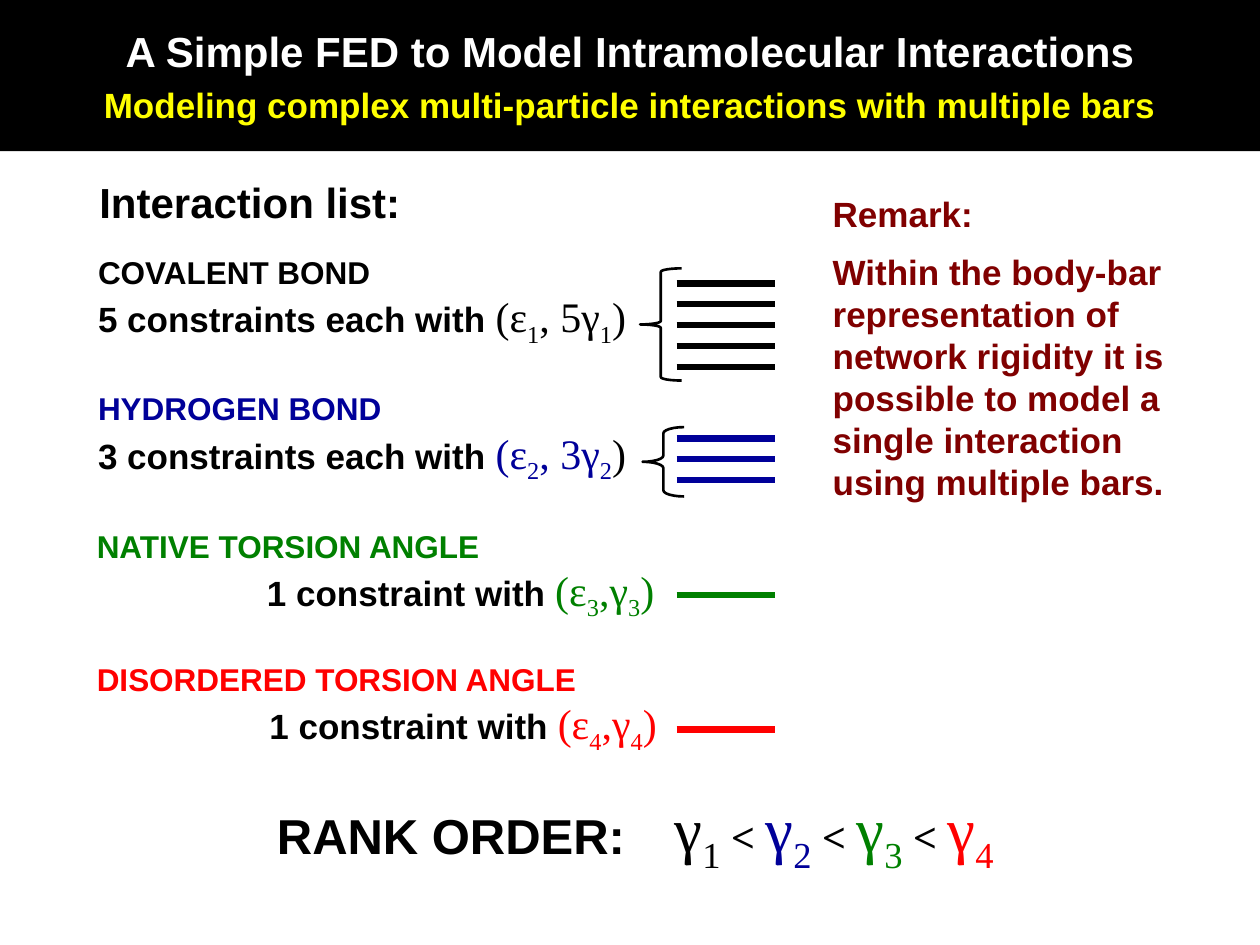
from pptx import Presentation
from pptx.dml.color import RGBColor
from pptx.enum.shapes import MSO_CONNECTOR as Connector, MSO_SHAPE as Shape
from pptx.enum.text import MSO_ANCHOR as Anchor, PP_ALIGN as Align
from pptx.oxml.ns import qn
from pptx.util import Inches, Pt
from lxml import etree

COLORS = {
    "black": "000000", "white": "FFFFFF", "yellow": "FFFF00", "blue": "000099",
    "green": "008000", "red": "FF0000", "maroon": "800000",
}
SANS, SERIF = "Arial", "Times New Roman"


def color(name):
    return RGBColor.from_string(COLORS[name])


def bold(text, size, tint="black"):
    return dict(text=text, size=size, tint=tint)


def math(text, size=24, tint="black", sub=False, strong=False):
    return dict(text=text, size=size, tint=tint, face=SERIF, strong=strong, sub=sub)


class SlideBuilder:
    def __init__(self, slide):
        self.slide = slide

    def add_spans(self, para, spans):
        for item in spans:
            span = para.add_run()
            span.text = item["text"]
            font = span.font
            font.name = item.get("face", SANS)
            font.size = Pt(item["size"])
            font.bold = item.get("strong", True)
            font.color.rgb = color(item["tint"])
            if item.get("sub"):
                span._r.get_or_add_rPr().set("baseline", "-25000")

    def fill_text(self, frame, lines, align=Align.LEFT):
        """Write one paragraph for each list of spans."""
        frame.word_wrap = True
        for index, spans in enumerate(lines):
            para = frame.add_paragraph() if index else frame.paragraphs[0]
            para.alignment = align
            self.add_spans(para, spans)
        return frame.paragraphs

    def text(self, left, top, width, height, lines, align=Align.LEFT):
        box = self.slide.shapes.add_textbox(
            Inches(left), Inches(top), Inches(width), Inches(height))
        return self.fill_text(box.text_frame, lines, align)

    def banner(self, height, lines):
        box = self.slide.shapes.add_shape(
            Shape.RECTANGLE, 0, 0, Inches(10), Inches(height))
        box.shadow.inherit = False
        box.fill.solid()
        box.fill.fore_color.rgb = color("black")
        box.line.fill.background()
        box.text_frame.vertical_anchor = Anchor.MIDDLE
        return self.fill_text(box.text_frame, lines, Align.CENTER)

    def bar(self, y, tint):
        line = self.slide.shapes.add_connector(
            Connector.STRAIGHT, Inches(5.37), Inches(y), Inches(6.15), Inches(y))
        line.line.color.rgb = color(tint)
        line.line.width = Pt(3.5)
        etree.SubElement(line._element.spPr, qn("a:effectLst"))

    def brace(self, left, top, height, curve):
        brace = self.slide.shapes.add_shape(
            Shape.LEFT_BRACE, Inches(left), Inches(top), Inches(0.33), Inches(height))
        brace.adjustments[0] = curve
        brace.shadow.inherit = False
        brace.fill.background()
        brace.line.color.rgb = color("black")
        brace.line.width = Pt(1.5)

    def interaction(self, left, top, name, tint, phrase, formula, first_bar, bars,
                    indent=0):
        """Heading, constraint line and one bar for each constraint."""
        paras = self.text(left, top, 4.8, 1.11, [
            [bold(name, 18, tint)], [bold(phrase + " ", 20)] + formula])
        if indent:
            paras[1]._p.get_or_add_pPr().set("marL", str(Inches(indent)))
        for number in range(bars):
            self.bar(first_bar + number * 0.165, tint)


def pair(index, joint, tint, closing=None):
    """Energy and entropy parameters, such as (ε1, 5γ1)."""
    return [math("(ε", tint=tint), math(index, tint=tint, sub=True),
            math(joint + "γ", tint=tint), math(index, tint=tint, sub=True),
            math(")", tint=closing or tint)]


def main():
    deck = Presentation()
    deck.slide_width, deck.slide_height = Inches(10), Inches(7.5)
    page = SlideBuilder(deck.slides.add_slide(deck.slide_layouts[6]))

    # Title banner
    titles = page.banner(1.2, [
        [bold("A Simple FED to Model Intramolecular Interactions", 24, "white")],
        [bold("Modeling complex multi-particle interactions with multiple bars",
              20, "yellow")]])
    titles[1].space_before = Pt(4)

    # Interaction list
    page.text(0.69, 1.35, 2.8, 0.51, [[bold("Interaction list:", 24)]])
    page.interaction(0.68, 1.96, "COVALENT BOND", "black", "5 constraints each with",
                     pair("1", ", 5", "black"), 2.25, 5)
    page.interaction(0.68, 3.04, "HYDROGEN BOND", "blue", "3 constraints each with",
                     pair("2", ", 3", "blue", "black"), 3.48, 3)
    page.interaction(0.67, 4.13, "NATIVE TORSION ANGLE", "green", "1 constraint with",
                     pair("3", ",", "green"), 4.72, 1, 1.35)
    page.interaction(0.67, 5.19, "DISORDERED TORSION ANGLE", "red", "1 constraint with",
                     pair("4", ",", "red"), 5.79, 1, 1.37)

    # Braces around the multiple bars
    page.brace(5.08, 2.13, 0.89, 0.083)
    page.brace(5.1, 3.39, 0.55, 0.149)

    # Rank order
    page.text(2.1, 6.34, 3.1, 0.57, [[bold("RANK ORDER:", 28)]])
    ranking = []
    for number, tint in enumerate(("black", "blue", "green", "red"), start=1):
        if ranking:
            ranking += [math(" "), math("< ", strong=True)]
        ranking += [math("γ", 36, tint), math(str(number), 36, tint, sub=True)]
    page.text(4.92, 6.22, 3.4, 0.71, [ranking], Align.CENTER)

    # Remark
    remark = page.text(6.51, 1.48, 2.95, 2.58, [
        [bold("Remark:", 20, "maroon")],
        [bold("Within the body-bar representation of network rigidity it is possible "
              "to model a single interaction using multiple bars.", 20, "maroon")]])
    remark[0].space_after = Pt(9)

    deck.save("out.pptx")


if __name__ == "__main__":
    main()
